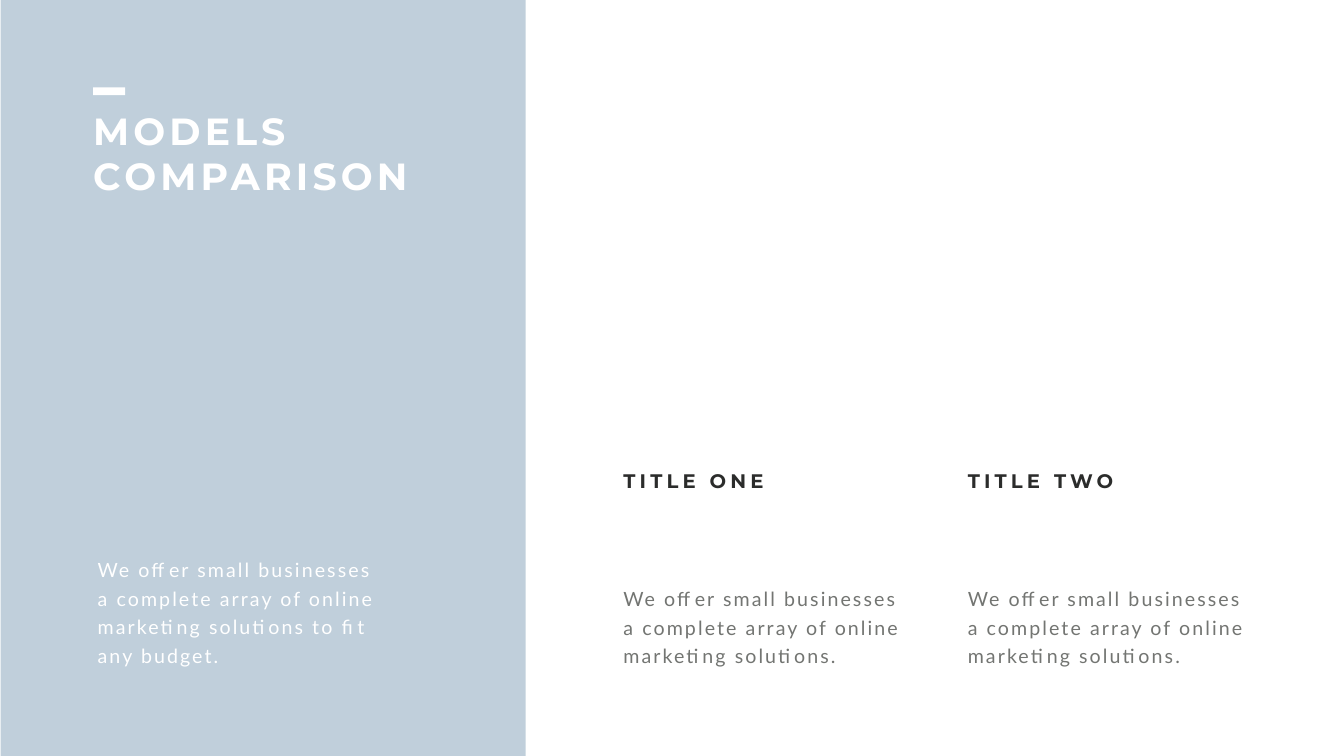
from lxml import etree
from pptx import Presentation, util as u
from pptx.dml.color import RGBColor
from pptx.enum import shapes, text
from pptx.oxml import ns

WHITE = RGBColor(0xFF, 0xFF, 0xFF)
BLUE = RGBColor(0xB1, 0xC4, 0xD2)
DARK = RGBColor(0x2B, 0x2C, 0x2B)
GREY = RGBColor(0x73, 0x75, 0x72)

deck = Presentation()
deck.slide_width, deck.slide_height = u.Inches(26.66), u.Inches(15)
COLUMN = deck.slide_width / 100
ROW = deck.slide_height / 100


def place(left, top, width, height):
    return (round(left * COLUMN), round(top * ROW),
            round(width * COLUMN), round(height * ROW))


def add_block(page, box, color, opacity=100):
    block = page.shapes.add_shape(shapes.MSO_SHAPE.RECTANGLE, *place(*box))
    block.shadow.inherit = False
    block.line.fill.background()
    block.fill.solid()
    block.fill.fore_color.rgb = color
    if opacity < 100:
        tint = block.fill._xPr.find(".//" + ns.qn("a:srgbClr"))
        etree.SubElement(tint, ns.qn("a:alpha"), val=str(opacity * 1000))


def add_text(page, box, wording, font, size, color, bold, tracking, leading=None):
    frame = page.shapes.add_textbox(*place(*box)).text_frame
    frame.word_wrap = True
    frame.auto_size = text.MSO_AUTO_SIZE.SHAPE_TO_FIT_TEXT
    frame.text = wording
    para = frame.paragraphs[0]
    if leading:
        para.line_spacing = u.Pt(leading)
    span = para.runs[0]
    span.font.name = font
    span.font.size = u.Pt(size)
    span.font.bold = bold
    span.font.color.rgb = color
    span.font._element.set("spc", str(tracking * 100))


def add_heading(page, box, wording, size, color):
    add_text(page, box, wording, "Montserrat", size, color, True, 6)


def add_body(page, box, wording, color):
    add_text(page, box, wording, "Lato", 28, color, False, 3, 40.8)


def add_panel(page, box, title, body):
    left, top, width, height = box
    add_block(page, box, BLUE, 80)
    add_heading(page, (left + 6.52, top + 13.87, 25.58, 12.8), title, 54, WHITE)
    add_block(page, (left + 6.88, top + 11.57, 2.4, 1), WHITE)
    add_body(page, (left + 6.86, top + 72.8, 22.43, 15.6), body, WHITE)


def add_model(page, box, title, body):
    left, top, width, height = box
    add_heading(page, (left, top, width - 0.9, 3.8), title, 28, DARK)
    add_body(page, (left, top + height - 11.8, width, 11.8), body, GREY)


page = deck.slides.add_slide(deck.slide_layouts[6])
offer = "We offer small businesses a complete array of online marketing solutions"
add_panel(page, (0.04, 0, 39.08, 100), "MODELS COMPARISON", offer + " to fit any budget.")
for index, title in enumerate(("TITLE ONE", "TITLE TWO")):
    add_model(page, (46.02 + 25.62 * index, 61.73, 22.36, 26.74), title, offer + ".")
deck.save("out.pptx")
